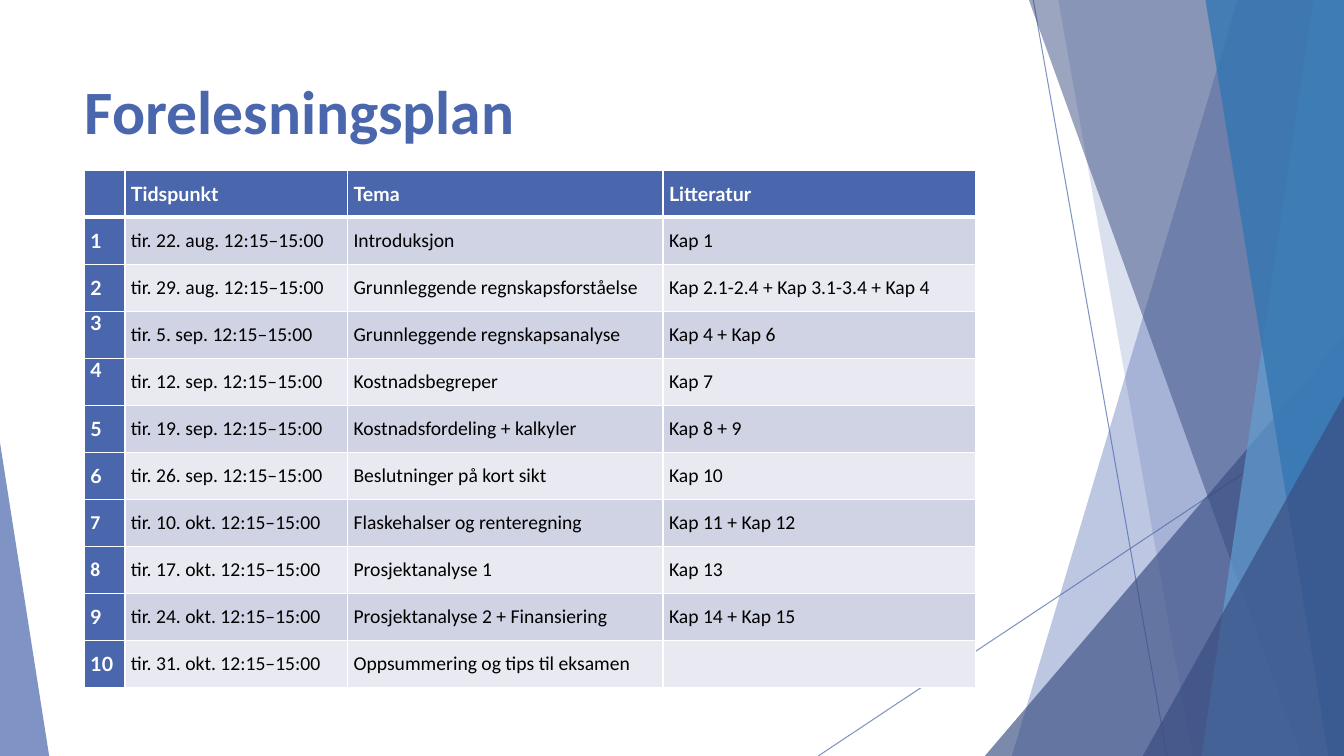
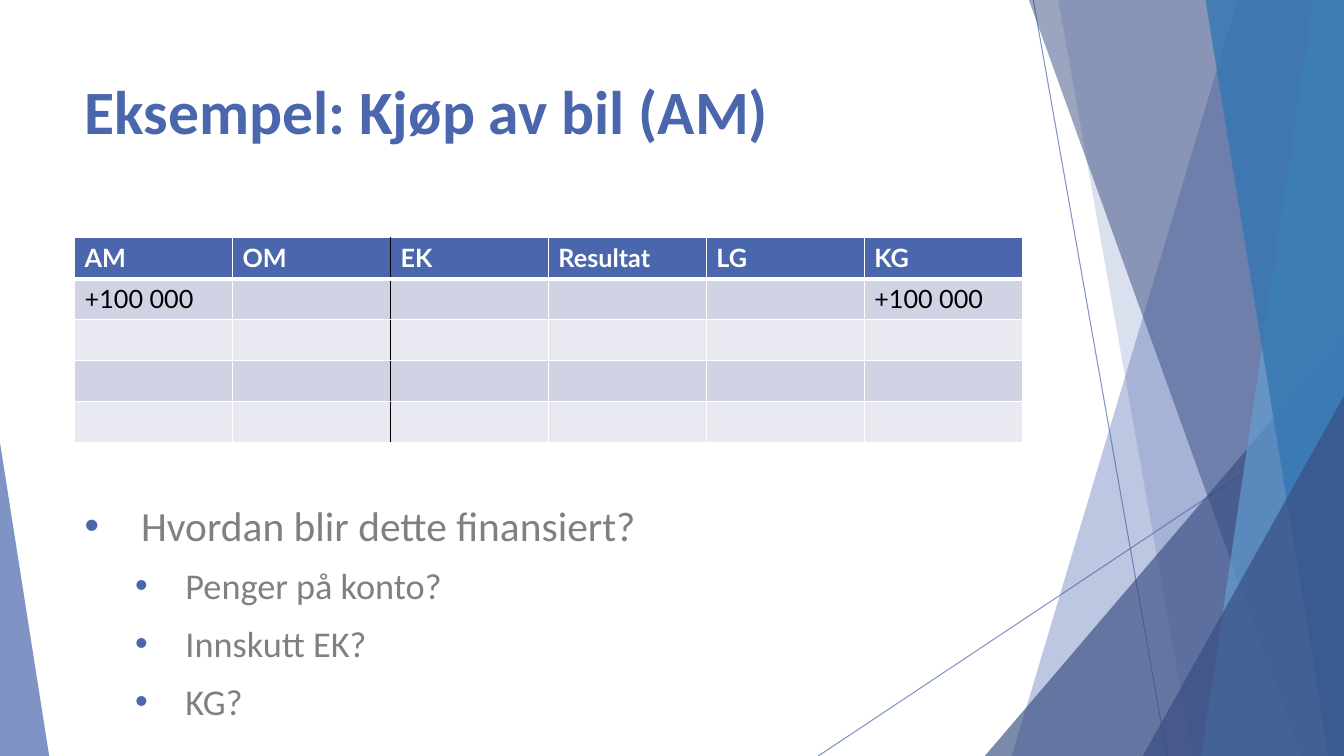
from dataclasses import dataclass

from lxml import etree
from pptx import Presentation
from pptx import util as u
from pptx.dml.color import RGBColor
from pptx.enum import shapes, text
from pptx.oxml import ns


@dataclass(frozen=True)
class Theme:
    """Colours, fonts and type sizes."""
    blue: str = "4A66AC"
    navy: str = "384C81"
    sky: str = "629DD1"
    ocean: str = "3477B2"
    white: str = "FFFFFF"
    black: str = "000000"
    grey: str = "808080"
    stripes: tuple = ("D0D3E3", "E9EAF1")
    body_font: str = "Calibri"
    table_font: str = "Lato"
    title_size: float = 44
    list_sizes: tuple = (29.6, 25.9)
    plan_size: float = 14
    ledger_size: float = 18


THEME = Theme()
WIDTH, HEIGHT = 33.87, 19.05
LEFT, CONTENT_WIDTH = 1.88, 23.88


def add_xml(parent, tag, **attributes):
    return etree.SubElement(parent, ns.qn(tag), attributes)


class Deck:
    def __init__(self, theme):
        self.theme = theme
        self.presentation = Presentation()
        self.presentation.slide_width = u.Cm(WIDTH)
        self.presentation.slide_height = u.Cm(HEIGHT)
        self.slide = None

    def new_slide(self, layout_index, title):
        layout = self.presentation.slide_layouts[layout_index]
        self.slide = self.presentation.slides.add_slide(layout)
        frame = self.place(self.slide.shapes.title, 1.7, 3.66)
        paragraph = frame.paragraphs[0]
        paragraph.alignment = text.PP_ALIGN.LEFT
        self.run(paragraph, title, self.theme.title_size, self.theme.blue, bold=True)

    def place(self, placeholder, top, height):
        placeholder.left, placeholder.top = u.Cm(LEFT), u.Cm(top)
        placeholder.width, placeholder.height = u.Cm(CONTENT_WIDTH), u.Cm(height)
        frame = placeholder.text_frame
        frame.word_wrap = True
        frame.auto_size = text.MSO_AUTO_SIZE.NONE
        frame.vertical_anchor = text.MSO_ANCHOR.TOP
        return frame

    def run(self, paragraph, words, size, color, font=None, bold=False):
        run = paragraph.add_run()
        run.text = words
        run.font.name = font or self.theme.body_font
        run.font.size = u.Pt(size)
        run.font.bold = bold
        run.font.color.rgb = RGBColor.from_string(color)

    # Background pieces
    def set_alpha(self, shape, percent):
        for color in shape.element.spPr.iter(ns.qn("a:srgbClr")):
            add_xml(color, "a:alpha", val=str(percent * 1000))

    def paint(self, shape, color, opacity):
        shape.shadow.inherit = False
        shape.fill.solid()
        shape.fill.fore_color.rgb = RGBColor.from_string(color)
        shape.line.fill.background()
        self.set_alpha(shape, opacity)

    def hairline(self, *ends):
        line = self.slide.shapes.add_connector(
            shapes.MSO_CONNECTOR.STRAIGHT, *(u.Cm(value) for value in ends))
        line.line.color.rgb = RGBColor.from_string(self.theme.blue)
        line.line.width = u.Pt(0.75)
        self.set_alpha(line, 70)
        add_xml(line.element.spPr, "a:effectLst")

    def band(self, top_x, bottom_x, color, opacity):
        """Full-height band from a slanted left edge to the slide's right edge."""
        builder = self.slide.shapes.build_freeform(u.Cm(top_x), 0)
        corners = [(WIDTH, 0), (WIDTH, HEIGHT), (bottom_x, HEIGHT)]
        builder.add_line_segments([(u.Cm(x), u.Cm(y)) for x, y in corners])
        self.paint(builder.convert_to_shape(), color, opacity)

    def corner(self, left, right, top, apex, color, opacity):
        """Right-angled triangle standing on the slide's bottom edge."""
        shape = self.slide.shapes.add_shape(
            shapes.MSO_SHAPE.ISOSCELES_TRIANGLE, u.Cm(left), u.Cm(top),
            u.Cm(right - left), u.Cm(HEIGHT - top))
        shape.adjustments[0] = apex
        self.paint(shape, color, opacity)

    def background(self):
        """Draw the facets, then move them to the master that all slides share."""
        theme = self.theme
        self.slide = self.presentation.slides[0]
        before = len(self.slide.shapes)
        self.hairline(26.04, 0, 29.41, HEIGHT)
        self.hairline(WIDTH, 10.24, 20.62, HEIGHT)
        self.band(31.19, 25.5, theme.blue, 36)
        self.band(26.67, 30.05, theme.blue, 20)
        self.corner(24.82, WIDTH, 8.46, 1, theme.navy, 66)
        self.band(25.93, 32.79, theme.navy, 50)
        self.band(33.1, 30.28, theme.sky, 70)
        self.band(30.38, 33.48, theme.ocean, 80)
        self.corner(28.8, WIDTH, 9.98, 1, theme.navy, 66)
        self.corner(0, 1.24, 11.15, 0, theme.blue, 70)
        tree = self.presentation.slide_master.shapes.element
        for index, shape in enumerate(list(self.slide.shapes)[before:]):
            shape.element.xpath(".//p:cNvPr")[0].set("id", str(100 + index))
            tree.insert(2 + index, shape.element)

    # Tables
    def borders(self, cell, **sides):
        """Each side, in the order L, R, T, B, is a colour and a width in points."""
        properties = cell._tc.get_or_add_tcPr()
        for side, (color, width) in sides.items():
            line = add_xml(properties, f"a:ln{side}", w=str(u.Pt(width)))
            add_xml(add_xml(line, "a:solidFill"), "a:srgbClr", val=color)

    def table(self, left, top, widths, height, rows, size, font,
              labels=False, inset=None, divider=None):
        """Striped table; divider is the column that has a black left edge."""
        theme = self.theme
        table = self.slide.shapes.add_table(
            len(rows), len(widths), u.Cm(left), u.Cm(top),
            u.Cm(sum(widths)), u.Cm(height)).table
        table.first_col = labels
        for column, width in zip(table.columns, widths):
            column.width = u.Cm(width)
        for r, values in enumerate(rows):
            table.rows[r].height = u.Cm(height / len(rows))
            for c, value in enumerate(values):
                cell = table.cell(r, c)
                strong = r == 0 or (labels and c == 0)
                self.borders(
                    cell,
                    L=(theme.black if c == divider else theme.white, 1),
                    R=(theme.black if c + 1 == divider else theme.white, 1),
                    T=(theme.white, 3 if r == 1 else 1),
                    B=(theme.white, 3 if r == 0 else 1))
                cell.fill.solid()
                cell.fill.fore_color.rgb = RGBColor.from_string(
                    theme.blue if strong else theme.stripes[(r - 1) % 2])
                if inset is not None:
                    cell.margin_left = cell.margin_right = u.Cm(inset)
                    cell.margin_top = cell.margin_bottom = 0
                    cell.vertical_anchor = text.MSO_ANCHOR.MIDDLE
                if value:
                    self.run(cell.text_frame.paragraphs[0], value, size,
                             theme.white if strong else theme.black,
                             theme.table_font if strong else font, strong)
        return table

    # Bulleted list
    def bullets(self, top, height, items):
        frame = self.place(self.slide.placeholders[1], top, height)
        indents = ((1.42, 1.42), (2.54, 1.27))
        for index, (level, words) in enumerate(items):
            paragraph = frame.add_paragraph() if index else frame.paragraphs[0]
            paragraph.level = level
            paragraph.space_before = u.Pt(10 if index else 0)
            margin, hanging = indents[level]
            properties = paragraph._p.get_or_add_pPr()
            properties.set("marL", str(u.Cm(margin)))
            properties.set("indent", str(-u.Cm(hanging)))
            add_xml(add_xml(properties, "a:buClr"), "a:srgbClr", val=self.theme.blue)
            add_xml(properties, "a:buFont", typeface="Arial")
            add_xml(properties, "a:buChar", char="•")
            self.run(paragraph, words, self.theme.list_sizes[level], self.theme.grey)


LECTURES = [
    ("22. aug.", "Introduksjon", "Kap 1"),
    ("29. aug.", "Grunnleggende regnskapsforståelse", "Kap 2.1-2.4 + Kap 3.1-3.4 + Kap 4"),
    ("5. sep.", "Grunnleggende regnskapsanalyse", "Kap 4 + Kap 6"),
    ("12. sep.", "Kostnadsbegreper", "Kap 7"),
    ("19. sep.", "Kostnadsfordeling + kalkyler", "Kap 8 + 9"),
    ("26. sep.", "Beslutninger på kort sikt", "Kap 10"),
    ("10. okt.", "Flaskehalser og renteregning", "Kap 11 + Kap 12"),
    ("17. okt.", "Prosjektanalyse 1", "Kap 13"),
    ("24. okt.", "Prosjektanalyse 2 + Finansiering", "Kap 14 + Kap 15"),
    ("31. okt.", "Oppsummering og tips til eksamen", ""),
]


def lecture_plan(deck):
    deck.new_slide(5, "Forelesningsplan")
    rows = [("", "Tidspunkt", "Tema", "Litteratur")]
    rows += [(str(number), f"tir. {date} 12:15–15:00", topic, chapters)
             for number, (date, topic, chapters) in enumerate(LECTURES, 1)]
    table = deck.table(2.13, 4.29, (1.02, 5.61, 7.95, 7.87), 13.03, rows,
                       deck.theme.plan_size, deck.theme.body_font,
                       labels=True, inset=0.15)
    for number in (3, 4):
        table.cell(number, 0).vertical_anchor = text.MSO_ANCHOR.TOP
    for number in (7, 8):
        label = table.cell(number, 0).text_frame.paragraphs[0].runs[0]
        label.font.name = deck.theme.body_font


def car_purchase(deck):
    deck.new_slide(1, "Eksempel: Kjøp av bil (AM)")
    accounts = ("AM", "OM", "EK", "Resultat", "LG", "KG")
    entry = ("+100 000", "", "", "", "", "+100 000")
    empty = [("",) * len(accounts)] * 3
    deck.table(LEFT, 5.99, [CONTENT_WIDTH / len(accounts)] * len(accounts), 5.16,
               [accounts, entry, *empty], deck.theme.ledger_size,
               deck.theme.table_font, divider=2)
    deck.bullets(12.47, 6.1, [
        (0, "Hvordan blir dette finansiert?"),
        (1, "Penger på konto?"),
        (1, "Innskutt EK?"),
        (1, "KG?"),
    ])


def main():
    deck = Deck(THEME)
    lecture_plan(deck)
    car_purchase(deck)
    deck.background()
    deck.presentation.save("out.pptx")


if __name__ == "__main__":
    main()
